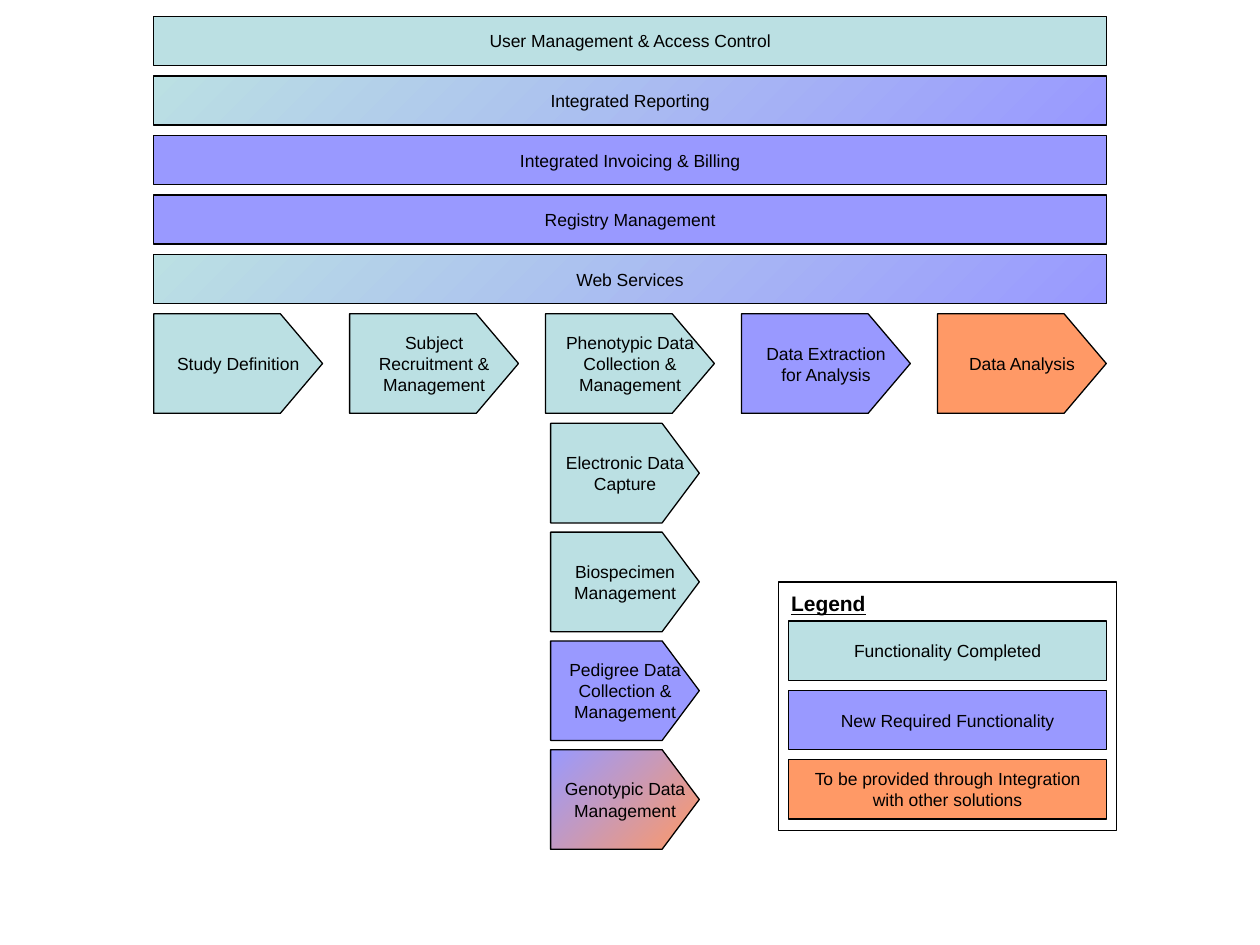
from pptx import Presentation
from pptx.dml.color import RGBColor
from pptx.enum import shapes, text
from pptx.util import Inches, Pt

# Theme: a fill is one colour, or two colours for a diagonal gradient
THEME = {
    "done": ["BBE0E3"],
    "new": ["9999FF"],
    "external": ["FF9966"],
    "done to new": ["9999FF", "BBE0E3"],
    "new to external": ["FF9966", "9999FF"],
    "ink": "000000",
    "font": "Arial",
    "body size": 10,
    "heading size": 12,
    "line width": 0.75,
}
GRADIENT_ANGLE = 135  # from bottom right to top left

# Content
SERVICES = [
    ("User Management & Access Control", "done"),
    ("Integrated Reporting", "done to new"),
    ("Integrated Invoicing & Billing", "new"),
    ("Registry Management", "new"),
    ("Web Services", "done to new"),
]
STAGES = [
    ("Study Definition", "done"),
    ("Subject Recruitment & Management", "done"),
    ("Phenotypic Data Collection & Management", "done"),
    ("Data Extraction for Analysis", "new"),
    ("Data Analysis", "external"),
]
DATA_SOURCES = [
    ("Electronic Data Capture", "done"),
    ("Biospecimen Management", "done"),
    ("Pedigree Data Collection & Management", "new"),
    ("Genotypic Data Management", "new to external"),
]
LEGEND = [
    ("Functionality Completed", "done"),
    ("New Required Functionality", "new"),
    ("To be provided through Integration with other solutions", "external"),
]


def spread(first, last, count):
    """Equally spaced positions from first to last."""
    return [first + (last - first) * i / (count - 1) for i in range(count)]


def style_text(shape, words, size, align, bold=False):
    frame = shape.text_frame
    frame.text = words
    paragraph = frame.paragraphs[0]
    paragraph.alignment = align
    font = paragraph.runs[0].font
    font.name = THEME["font"]
    font.size = Pt(size)
    font.color.rgb = RGBColor.from_string(THEME["ink"])
    if bold:
        font.bold = font.underline = True


def style_outline(shape):
    shape.shadow.inherit = False
    shape.line.color.rgb = RGBColor.from_string(THEME["ink"])
    shape.line.width = Pt(THEME["line width"])


def style_block(shape, words, status, wrap=True):
    style_outline(shape)
    colours = THEME[status]
    if len(colours) == 1:
        shape.fill.solid()
        shape.fill.fore_color.rgb = RGBColor.from_string(colours[0])
    else:
        shape.fill.gradient()
        shape.fill.gradient_angle = GRADIENT_ANGLE
        for stop, colour in zip(shape.fill.gradient_stops, colours):
            stop.color.rgb = RGBColor.from_string(colour)
    shape.text_frame.word_wrap = wrap
    shape.text_frame.vertical_anchor = text.MSO_ANCHOR.MIDDLE
    style_text(shape, words, THEME["body size"], text.PP_ALIGN.CENTER)


def add_box(slide, left, top, width, height):
    return slide.shapes.add_shape(
        shapes.MSO_SHAPE.RECTANGLE,
        Inches(left), Inches(top), Inches(width), Inches(height))


def add_arrow_block(slide, left, top, width, height, words, status):
    shoulder = left + 0.75 * width
    right, bottom = left + width, top + height
    outline = [(shoulder, top), (right, top + height / 2),
               (shoulder, bottom), (left, bottom)]
    builder = slide.shapes.build_freeform(Inches(left), Inches(top))
    builder.add_line_segments([(Inches(x), Inches(y)) for x, y in outline], close=True)
    style_block(builder.convert_to_shape(), words, status)


def main():
    presentation = Presentation()
    presentation.slide_width, presentation.slide_height = Inches(10), Inches(7.5)
    slide = presentation.slides.add_slide(presentation.slide_layouts[6])

    # Process stages, left to right
    for left, (words, status) in zip(spread(1.22, 7.44, len(STAGES)), STAGES):
        add_arrow_block(slide, left, 2.49, 1.34, 0.79, words, status)

    # Data sources below the phenotypic stage
    for top, (words, status) in zip(spread(3.36, 5.95, len(DATA_SOURCES)), DATA_SOURCES):
        add_arrow_block(slide, 4.37, top, 1.18, 0.79, words, status)

    # Shared services across the top
    for top, (words, status) in zip(spread(0.13, 2.02, len(SERVICES)), SERVICES):
        style_block(add_box(slide, 1.22, top, 7.56, 0.39), words, status, wrap=False)

    # Legend entries, heading and frame
    for top, (words, status) in zip(spread(4.93, 6.03, len(LEGEND)), LEGEND):
        style_block(add_box(slide, 6.26, top, 2.52, 0.47), words, status)
    heading = slide.shapes.add_textbox(Inches(6.18), Inches(4.64), Inches(0.79), Inches(0.3))
    heading.text_frame.word_wrap = False
    heading.text_frame.auto_size = text.MSO_AUTO_SIZE.SHAPE_TO_FIT_TEXT
    style_text(heading, "Legend", THEME["heading size"], text.PP_ALIGN.LEFT, bold=True)
    frame = add_box(slide, 6.18, 4.62, 2.68, 1.97)
    frame.fill.background()
    style_outline(frame)

    presentation.save("out.pptx")


if __name__ == "__main__":
    main()
